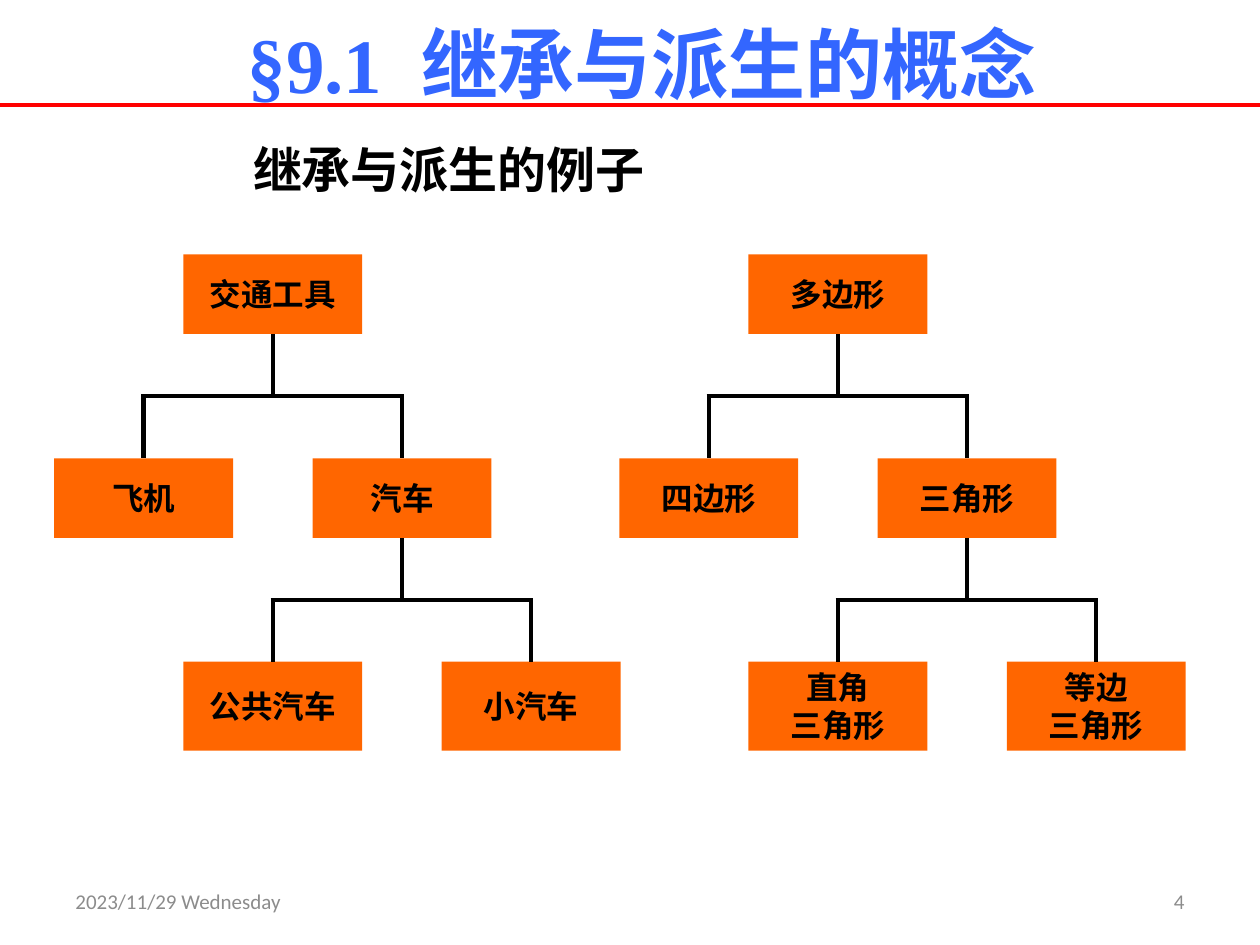
from dataclasses import dataclass

from lxml.etree import SubElement
from pptx import Presentation
from pptx.dml.color import RGBColor
from pptx.enum.shapes import MSO_CONNECTOR as CONN, MSO_SHAPE as SHAPE
from pptx.enum.text import MSO_ANCHOR as ANCHOR, MSO_AUTO_SIZE as AUTO, PP_ALIGN as ALIGN
from pptx.oxml.ns import qn
from pptx.util import Pt

CJK = "Noto Sans CJK SC"
BOX_W = 102.24
BRANCH = 73.8  # from a parent's centre to each child's centre
LINE_W = 2.5
ROW_TOPS = (145.4, 262, 378)
ROW_HEIGHTS = (45.4, 45.4, 51)


@dataclass(frozen=True)
class Style:
    size: float
    color: str = "000000"
    name: str = "Calibri"
    bold: bool = True


@dataclass(frozen=True)
class Node:
    label: str
    children: tuple["Node", ...] = ()


@dataclass(frozen=True)
class Tree:
    center: float
    root: Node


TITLE = Style(44, "3366FF", "Times New Roman")
HEADING = Style(28, name=CJK)
LABEL = Style(18)
FOOTER = Style(12, "8C8C8C", bold=False)

TREES = (
    Tree(478.8, Node("多边形", (
        Node("四边形"),
        Node("三角形", (Node("直角\n三角形"), Node("等边\n三角形"))),
    ))),
    Tree(155.9, Node("交通工具", (
        Node("飞机"),
        Node("汽车", (Node("公共汽车"), Node("小汽车"))),
    ))),
)


def rgb(color: str) -> RGBColor:
    return RGBColor.from_string(color)


def add_run(p, text: str, style: Style):
    r = p.add_run()
    r.text = text
    values = {"size": Pt(style.size), "bold": style.bold, "name": style.name}
    r.font.color.rgb = rgb(style.color)
    for key, value in values.items():
        setattr(r.font, key, value)
    SubElement(r._r.get_or_add_rPr(), qn("a:ea")).set("typeface", CJK)
    return r


def write(tf, text: str, style: Style, align=ALIGN.LEFT, anchor=ANCHOR.TOP, wrap=True) -> None:
    """Fill a text frame, one paragraph for each line of text."""
    for key, value in {"word_wrap": wrap, "vertical_anchor": anchor}.items():
        setattr(tf, key, value)
    for i, line in enumerate(text.split("\n")):
        p = tf.add_paragraph() if i else tf.paragraphs[0]
        p.alignment = align
        add_run(p, line, style)


def add_text(shapes, box: tuple, text: str, style: Style, **layout) -> None:
    sp = shapes.add_textbox(*map(Pt, box))
    write(sp.text_frame, text, style, **layout)


def add_line(shapes, x1: float, y1: float, x2: float, y2: float,
             color: str = "000000", width: float = LINE_W):
    line = shapes.add_connector(CONN.STRAIGHT, Pt(x1), Pt(y1), Pt(x2), Pt(y2))
    line.line.color.rgb = rgb(color)
    line.line.width = Pt(width)
    SubElement(line._element.spPr, qn("a:effectLst"))
    return line


def add_node(shapes, node: Node, center: float, row: int = 0):
    """Draw a node and, below it, its children with their connecting lines."""
    top, height = ROW_TOPS[row], ROW_HEIGHTS[row]
    sp = shapes.add_shape(SHAPE.RECTANGLE, Pt(center - BOX_W / 2), Pt(top), Pt(BOX_W), Pt(height))
    sp.shadow.inherit = False
    sp.fill.solid()
    sp.fill.fore_color.rgb = rgb("FF6600")
    sp.line.fill.background()
    write(sp.text_frame, node.label, LABEL, ALIGN.CENTER, ANCHOR.MIDDLE, wrap=False)
    if node.children:
        bottom, child_top = top + height, ROW_TOPS[row + 1]
        bus = (bottom + child_top) / 2
        reach = BRANCH + LINE_W / 2
        add_line(shapes, center - reach, bus, center + reach, bus)
        add_line(shapes, center, bottom, center, bus).begin_connect(sp, 2)
        for child, side in zip(node.children, (-1, 1)):
            x = center + side * BRANCH
            child_sp = add_node(shapes, child, x, row + 1)
            add_line(shapes, x, bus, x, child_top).end_connect(child_sp, 0)
    return sp


def add_title(s) -> None:
    title = s.shapes.title
    frame = {"left": 51.1, "top": 5.8, "width": 632.2, "height": 60.5}
    for key, value in frame.items():
        setattr(title, key, Pt(value))
    tf = title.text_frame
    values = {"margin_top": 0, "margin_bottom": 0, "word_wrap": True,
              "auto_size": AUTO.NONE, "vertical_anchor": ANCHOR.MIDDLE}
    for key, value in values.items():
        setattr(tf, key, value)
    p = tf.paragraphs[0]
    p.alignment = ALIGN.CENTER
    number, gap, name = [add_run(p, text, TITLE) for text in ("§9.1", " ", "继承与派生的概念")]
    gap.font._element.set("spc", "1100")  # widens the gap after the number
    rule = add_line(s.shapes, 0, 60.2, 720, 60.2, "FF0000", 2.25)
    title.element.addprevious(rule.element)


def main() -> None:
    prs = Presentation()
    prs.slide_width, prs.slide_height = Pt(720), Pt(540)
    s = prs.slides.add_slide(prs.slide_layouts[5])
    add_title(s)
    add_text(s.shapes, (36, 500.5, 168, 28.75), "2023/11/29 Wednesday", FOOTER, anchor=ANCHOR.MIDDLE)
    add_text(s.shapes, (516, 500.5, 168, 28.75), "4", FOOTER, align=ALIGN.RIGHT, anchor=ANCHOR.MIDDLE)
    for tree in TREES:
        group = s.shapes.add_group_shape()
        add_node(group.shapes, tree.root, tree.center)
    add_text(s.shapes, (137.5, 76.3, 241.2, 41), "继承与派生的例子", HEADING, wrap=False)
    prs.save("out.pptx")


if __name__ == "__main__":
    main()
